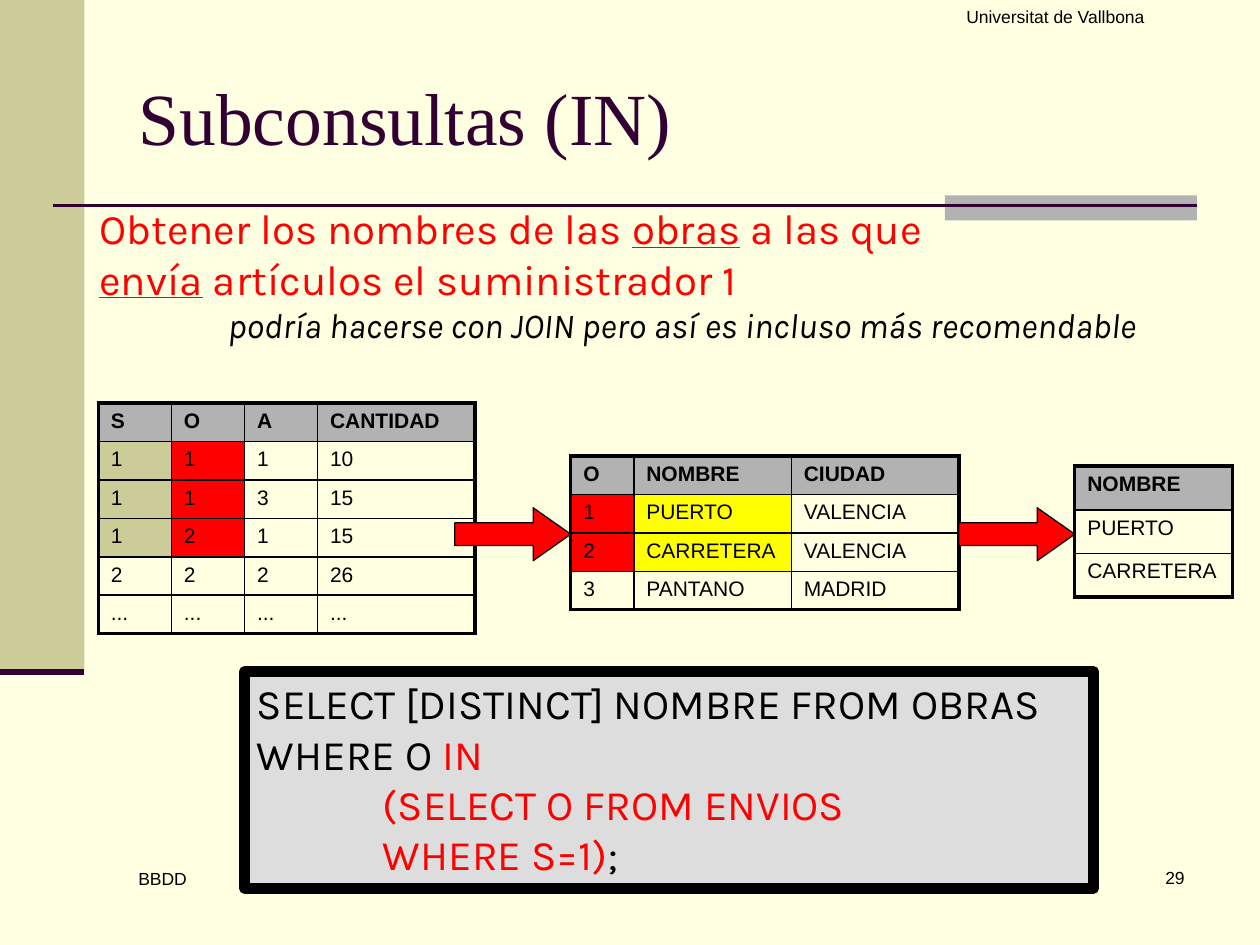
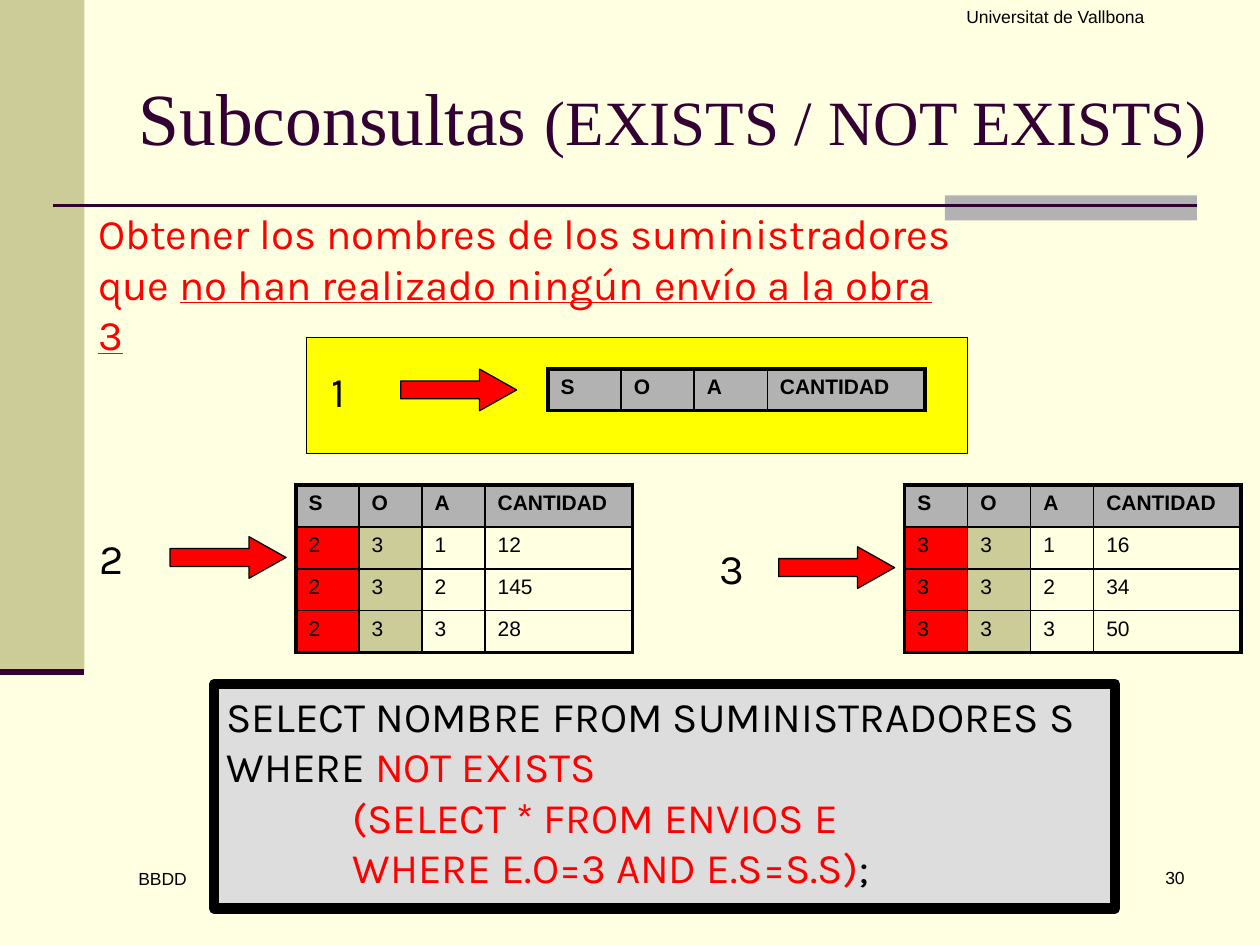
from pptx import Presentation
from pptx.dml.color import RGBColor
from pptx.enum import shapes, text
from pptx.oxml import ns, xmlchemy
from pptx.util import Inches, Pt

# Colours and fonts
CREAM = RGBColor(0xFF, 0xFF, 0xE1)
OLIVE = RGBColor(0xCC, 0xCC, 0x99)
GREY = RGBColor(0xB2, 0xB2, 0xB2)
PALE = RGBColor(0xDD, 0xDD, 0xDD)
PLUM = RGBColor(0x33, 0x00, 0x33)
RED = RGBColor(0xFF, 0x00, 0x00)
YELLOW = RGBColor(0xFF, 0xFF, 0x00)
BLACK = RGBColor(0x00, 0x00, 0x00)
SANS, SERIF, BODY = "Arial", "Times New Roman", "Karla"

RECT = shapes.MSO_SHAPE.RECTANGLE
ALIGN = text.PP_ALIGN
THIN, THICK = Pt(1), Pt(2.25)
HEAD = ["S", "O", "A", "CANTIDAD"]


def inch(*box):
    return [Inches(v) for v in box]


def style(run, size, font, color=BLACK, bold=None, line=None, slant=None):
    run.font.size = Pt(size)
    run.font.name = font
    run.font.color.rgb = color
    run.font.bold, run.font.underline, run.font.italic = bold, line, slant


def write(frame, lines, size, font, color=BLACK, align=None):
    """Each line is (indent, parts); each part is (words, changes)."""
    frame.word_wrap = True
    for i, (indent, parts) in enumerate(lines):
        para = frame.add_paragraph() if i else frame.paragraphs[0]
        para.alignment = align
        if indent:
            para._p.get_or_add_pPr().set("marL", str(Inches(indent)))
        for words, more in parts:
            run = para.add_run()
            run.text = words
            style(run, **{"size": size, "font": font, "color": color, **more})


def label(slide, box, lines, size, font, color=BLACK, align=None):
    if isinstance(lines, str):
        lines = [(0, [(lines, {})])]
    area = slide.shapes.add_textbox(*inch(*box))
    write(area.text_frame, lines, size, font, color, align)


def block(slide, box, fill, width=0, kind=RECT):
    shape = slide.shapes.add_shape(kind, *inch(*box))
    shape.shadow.inherit = False
    shape.fill.solid()
    shape.fill.fore_color.rgb = fill
    if width:
        shape.line.color.rgb = BLACK
        shape.line.width = Pt(width)
    else:
        shape.line.fill.background()
    return shape


def rule(slide, x, y, end, width):
    line = slide.shapes.add_connector(
        shapes.MSO_CONNECTOR.STRAIGHT, *inch(x, y, end, y))
    line.line.color.rgb = PLUM
    line.line.width = Pt(width)
    line._element.spPr.append(xmlchemy.OxmlElement("a:effectLst"))


def arrow(slide, box, head):
    shape = block(slide, box, RED, 0.75, shapes.MSO_SHAPE.RIGHT_ARROW)
    shape.adjustments[0] = 0.43
    shape.adjustments[1] = head


def edge(cell, side, width):
    line = xmlchemy.OxmlElement("a:ln" + side)
    line.set("w", str(width))
    solid = xmlchemy.OxmlElement("a:solidFill")
    tone = xmlchemy.OxmlElement("a:srgbClr")
    tone.set("val", str(BLACK))
    solid.append(tone)
    line.append(solid)
    cell._tc.get_or_add_tcPr().append(line)


def grid(slide, x, y, high, widths, rows, fills=None):
    """Table with a grey header; fills maps (row, column) to a colour."""
    fills = fills or {}
    tall, wide = len(rows), len(widths)
    table = slide.shapes.add_table(
        tall, wide, *inch(x, y, sum(widths), high)).table
    table.first_row = table.horz_banding = False
    for col, width in zip(table.columns, widths):
        col.width = Inches(width)
    for r, row in enumerate(rows):
        for c, words in enumerate(row):
            cell = table.cell(r, c)
            # Thick outside, thin inside
            outer = {"L": c == 0, "R": c == wide - 1,
                     "T": r == 0, "B": r == tall - 1}
            for side, out in outer.items():
                edge(cell, side, THICK if out else THIN)
            fill = fills.get((r, c)) if r else GREY
            if fill:
                cell.fill.solid()
                cell.fill.fore_color.rgb = fill
            else:
                cell.fill.background()
            cell.text = words
            style(cell.text_frame.paragraphs[0].runs[0], 12, SANS,
                  bold=r == 0)


def base(deck, number, width, parts):
    """Slide with its title, bands, rules and footers."""
    slide = deck.slides.add_slide(deck.slide_layouts[5])
    block(slide, (0, 0, 0.67, 5.33), OLIVE)
    block(slide, (7.5, 1.55, 2, 0.2), GREY)
    rule(slide, 0.42, 1.63, 9.5, 1.5)
    rule(slide, 0, 5.33, 0.67, 3.5)
    title = slide.shapes.title
    title.left, title.top, title.width, title.height = inch(1, 0.3, width, 1.25)
    title.text_frame.vertical_anchor = text.MSO_ANCHOR.MIDDLE
    title.text_frame.auto_size = text.MSO_AUTO_SIZE.NONE
    write(title.text_frame, [(0, parts)], 42, SERIF, PLUM, ALIGN.LEFT)
    label(slide, (7.42, 6.83, 2.08, 0.5), number, 10, SANS, align=ALIGN.RIGHT)
    label(slide, (6.75, 0, 3.25, 0.5), "Universitat de Vallbona", 10, SANS,
          align=ALIGN.CENTER)
    label(slide, (1, 6.84, 2.17, 0.5), "BBDD", 10, SANS)
    return slide


def query(slide, box, first, test, inner, last):
    """SQL panel: outer query in black, subquery indented in red."""
    red = {"color": RED}
    panel = block(slide, box, PALE, 6)
    panel.text_frame.vertical_anchor = text.MSO_ANCHOR.TOP
    lines = [(0, [(first, {})]),
             (0, [("WHERE ", {})] + test),
             (1, [(inner, red)]),
             (1, [(last, red), (";", {})])]
    write(panel.text_frame, lines, 24, BODY, align=ALIGN.LEFT)


def step(slide, x, y, number, gap):
    """Step number followed by its arrow."""
    label(slide, (x, y, 0.39, 0.51), number, 24, BODY)
    arrow(slide, (x + gap, y + 0.08, 0.92, 0.33), 0.89)


def nested(deck):
    """Subquery with IN."""
    slide = base(deck, "29", 8.5, [("Subconsultas (IN)", {})])
    under = {"line": True}
    label(slide, (0.69, 1.56, 9.03, 1.31), [
        (0, [("Obtener los nombres de las ", {}), ("obras", under),
             (" a las que", {})]),
        (0, [("envía", under), (" artículos el suministrador 1", {})]),
        (1.02, [("podría hacerse con JOIN pero así es incluso más recomendable",
                 {"size": 20, "color": BLACK, "slant": True})]),
    ], 24, BODY, RED)
    query(slide, (1.94, 5.33, 6.74, 1.72),
          "SELECT [DISTINCT] NOMBRE FROM OBRAS",
          [("O ", {}), ("IN", {"color": RED})],
          "(SELECT O FROM ENVIOS", "WHERE S=1)")

    # Shipments, works and result
    marks = {(r, c): tone for r in (1, 2, 3)
             for c, tone in enumerate((OLIVE, RED))}
    grid(slide, 0.78, 3.2, 1.83, [0.58, 0.58, 0.58, 1.25],
         [HEAD, ["1", "1", "1", "10"], ["1", "1", "3", "15"],
          ["1", "2", "1", "15"], ["2", "2", "2", "26"], ["..."] * 4], marks)
    marks = {(r, c): tone for r in (1, 2)
             for c, tone in enumerate((RED, YELLOW))}
    grid(slide, 4.53, 3.62, 1.22, [0.5, 1.25, 1.33],
         [["O", "NOMBRE", "CIUDAD"], ["1", "PUERTO", "VALENCIA"],
          ["2", "CARRETERA", "VALENCIA"], ["3", "PANTANO", "MADRID"]], marks)
    grid(slide, 8.53, 3.7, 1.04, [1.25],
         [["NOMBRE"], ["PUERTO"], ["CARRETERA"]])
    for x in (3.61, 7.61):
        arrow(slide, (x, 4.03, 0.92, 0.42), 0.71)


def exists(deck):
    """Subquery with NOT EXISTS."""
    slide = base(deck, "30", 8.74, [("Subconsultas ", {}),
                                    ("(EXISTS / NOT EXISTS)", {"size": 36})])
    block(slide, (2.43, 2.68, 5.25, 0.92), YELLOW, 0.75)
    label(slide, (0.68, 1.6, 7.02, 0.91), [
        (0, [("Obtener los nombres de los suministradores", {})]),
        (0, [("que ", {}),
             ("no han realizado ningún envío a la obra 3", {"line": True})]),
    ], 24, BODY, RED)
    query(slide, (1.7, 5.43, 7.15, 1.78),
          "SELECT NOMBRE FROM SUMINISTRADORES S",
          [("NOT EXISTS", {"color": RED})],
          "(SELECT * FROM ENVIOS E", "WHERE E.O=3 AND E.S=S.S)")

    # Subquery result for each supplier
    grid(slide, 4.35, 2.93, 0.33, [0.58, 0.58, 0.58, 1.25], [HEAD])
    marks = {(r, c): tone for r in (1, 2, 3)
             for c, tone in enumerate((RED, OLIVE))}
    for x, who, counts in ((2.35, "2", ("12", "145", "28")),
                           (7.18, "3", ("16", "34", "50"))):
        rows = [[who, "3", str(i), n] for i, n in enumerate(counts, 1)]
        grid(slide, x, 3.85, 1.33, [0.5, 0.5, 0.5, 1.17], [HEAD] + rows, marks)
    step(slide, 2.53, 2.85, "1", 0.65)
    step(slide, 0.69, 4.18, "2", 0.66)
    step(slide, 5.61, 4.26, "3", 0.57)


def main():
    deck = Presentation()
    deck.slide_width, deck.slide_height = inch(10, 7.5)
    back = deck.slide_master.background.fill
    back.solid()
    back.fore_color.rgb = CREAM
    nested(deck)
    exists(deck)
    deck.save("out.pptx")


if __name__ == "__main__":
    main()
